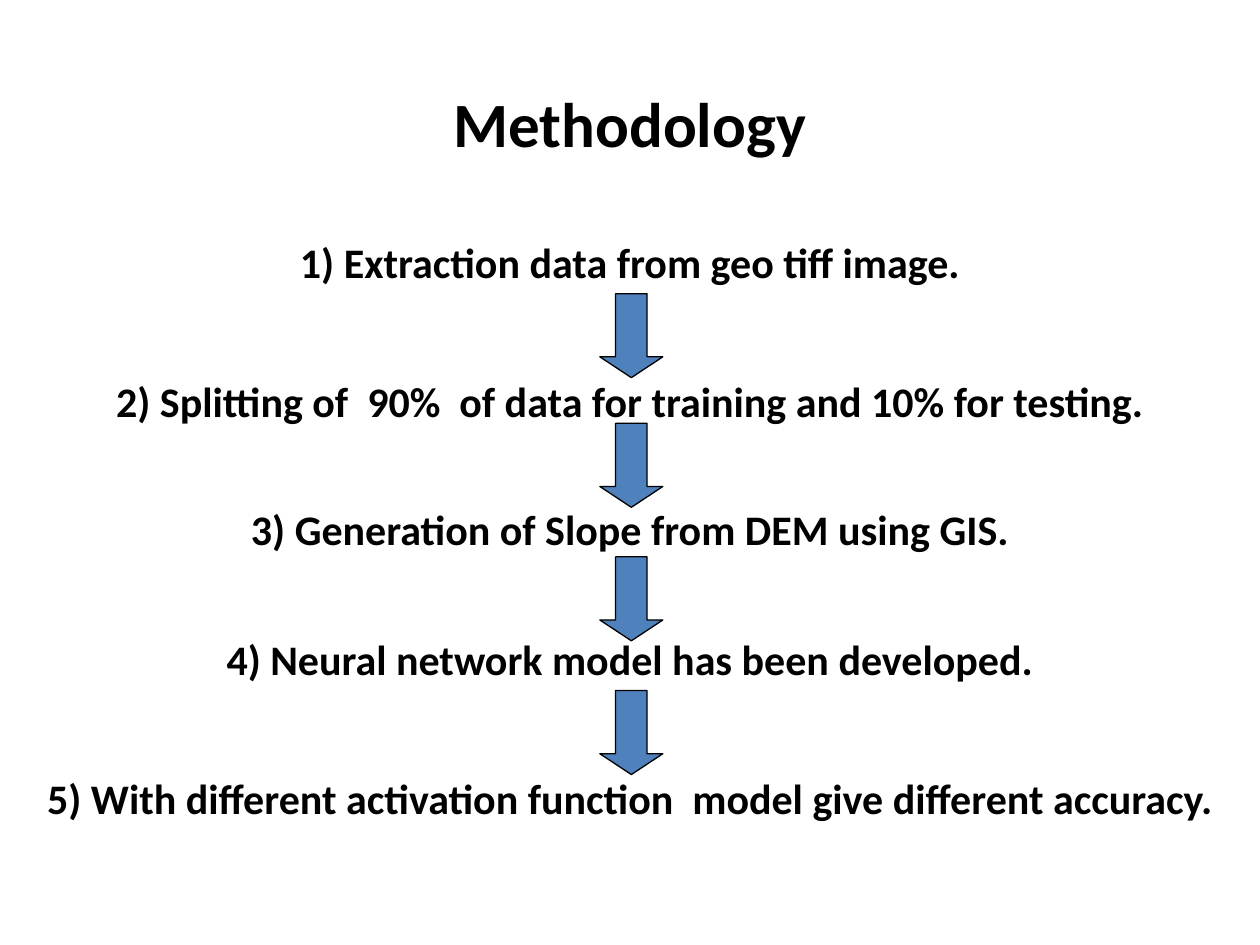
import pptx
import pptx.util
import pptx.dml.color
import pptx.enum.shapes
import pptx.enum.text

Pt = pptx.util.Pt
COLORS = {"text": "000000", "arrow": "4F81BD", "outline": "000000"}
WIDTH, HEIGHT = 720, 540
STEPS = [
    (131.8, "1) Extraction data from geo tiff image."),
    (211, "2) Splitting of  90%  of data for training and 10% for testing."),
    (284.4, "3) Generation of Slope from DEM using GIS."),
    (358.6, "4) Neural network model has been developed."),
    (437.8, "5) With different activation function  model give different accuracy."),
]
ARROW_TOPS = [167.8, 241.9, 318.2, 394.6]


def rgb(name):
    return pptx.dml.color.RGBColor.from_string(COLORS[name])


class Deck:
    font = {"name": "Calibri", "bold": True}
    frame = {"word_wrap": True,
             "vertical_anchor": pptx.enum.text.MSO_ANCHOR.TOP}

    def __init__(self, prs):
        self.s = prs.slides.add_slide(prs.slide_layouts[6])

    def text(self, top, height, text, size):
        sp = self.s.shapes.add_textbox(Pt(0), Pt(top), Pt(WIDTH), Pt(height))
        tf = sp.text_frame
        for key, value in self.frame.items():
            setattr(tf, key, value)
        p = tf.paragraphs[0]
        p.alignment = pptx.enum.text.PP_ALIGN.CENTER
        r = p.add_run()
        r.text = text
        for key, value in {**self.font, "size": Pt(size)}.items():
            setattr(r.font, key, value)
        r.font.color.rgb = rgb("text")

    def arrow(self, top):
        sp = self.s.shapes.add_shape(
            pptx.enum.shapes.MSO_SHAPE.DOWN_ARROW,
            Pt(342.8), Pt(top), Pt(36), Pt(48))
        sp.adjustments[0] = 0.5
        sp.adjustments[1] = 0.33
        sp.shadow.inherit = False
        sp.fill.solid()
        sp.fill.fore_color.rgb = rgb("arrow")
        sp.line.color.rgb = rgb("outline")
        sp.line.width = Pt(0.75)


def main():
    prs = pptx.Presentation()
    prs.slide_width, prs.slide_height = Pt(WIDTH), Pt(HEIGHT)
    deck = Deck(prs)
    deck.text(44.6, 72, "Methodology", 36)
    for top, step in STEPS:
        deck.text(top, 36, step, 24)
    for top in ARROW_TOPS:
        deck.arrow(top)
    prs.save("out.pptx")


if __name__ == "__main__":
    main()
